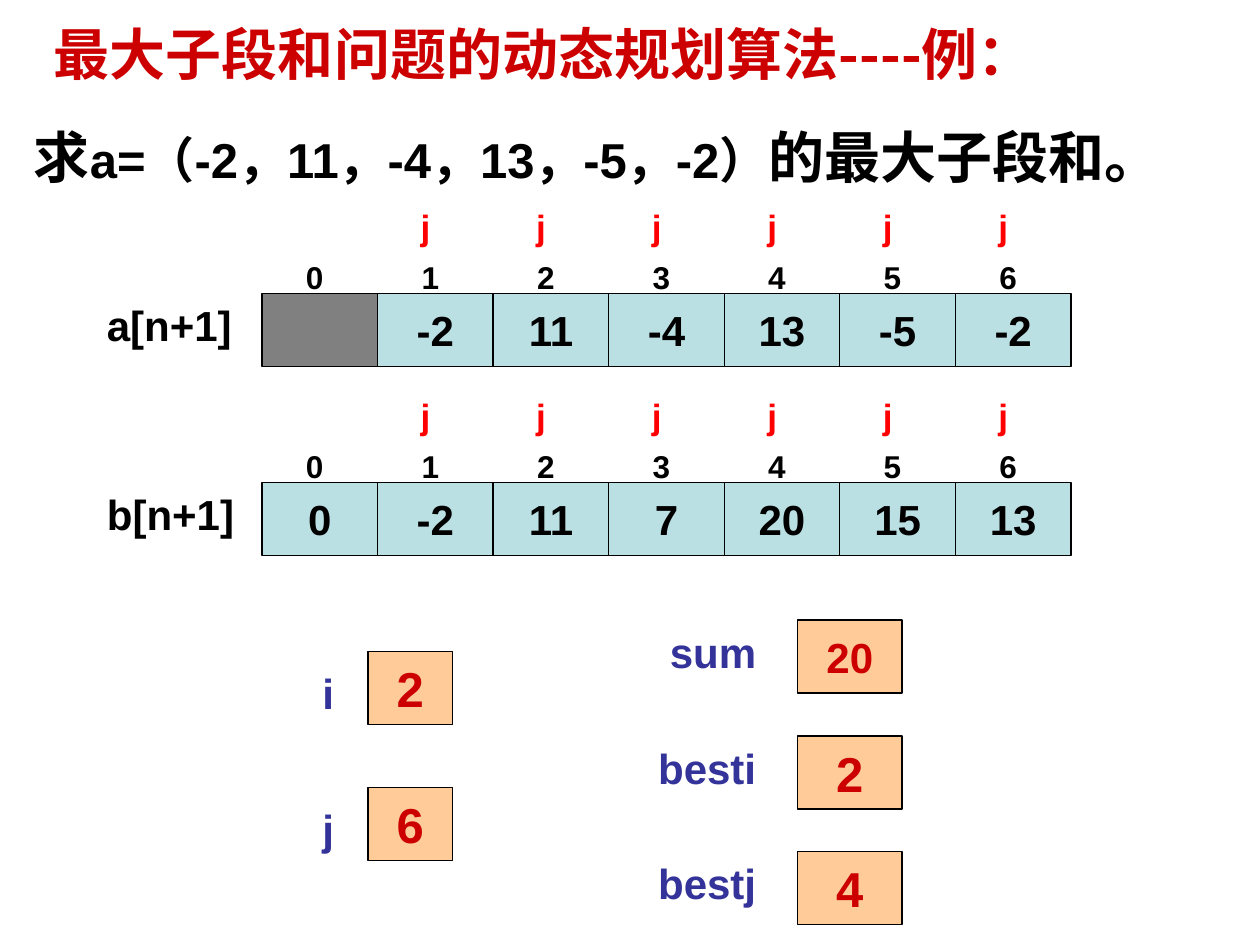
from pptx import Presentation
from pptx.dml.color import RGBColor
from pptx.enum.shapes import MSO_SHAPE
from pptx.enum.text import MSO_ANCHOR, PP_ALIGN
from pptx.util import Inches, Pt

RECT = MSO_SHAPE.RECTANGLE
TOP, MIDDLE = MSO_ANCHOR.TOP, MSO_ANCHOR.MIDDLE
LEFT, CENTER, RIGHT = PP_ALIGN.LEFT, PP_ALIGN.CENTER, PP_ALIGN.RIGHT
LATIN, CJK = "Arial", "Noto Sans CJK SC"
COLORS = {
    "ink": "000000",
    "title": "CC0000",
    "pointer": "FF0000",
    "label": "333399",
    "cell": "BBE0E3",
    "unused": "808080",
    "variable": "FFCC99",
}
CELL_H = Inches(0.58)


def style_para(para, size, color, align=LEFT, font=LATIN):
    para.alignment = align
    para.font.name = font
    para.font.size = Pt(size)
    para.font.bold = True
    para.font.color.rgb = RGBColor.from_string(COLORS[color])


def add_text(page, box, spans, size, color, align=LEFT, font=LATIN, anchor=TOP):
    """Place one paragraph; spans are (text, size), with None for the paragraph's size."""
    frame = page.shapes.add_textbox(*box).text_frame
    frame.word_wrap = True
    frame.vertical_anchor = anchor
    para = frame.paragraphs[0]
    style_para(para, size, color, align, font)
    for text, span_size in spans:
        span = para.add_run()
        span.text = text
        if span_size:
            span.font.size = Pt(span_size)


def add_cell(page, box, text, fill, size=24, color="ink"):
    cell = page.shapes.add_shape(RECT, *box)
    cell.shadow.inherit = False
    cell.fill.solid()
    cell.fill.fore_color.rgb = RGBColor.from_string(COLORS[fill])
    cell.line.color.rgb = RGBColor.from_string(COLORS["ink"])
    cell.line.width = Pt(0.75)
    if text:
        frame = cell.text_frame
        frame.word_wrap = False
        frame.vertical_anchor = MIDDLE
        para = frame.paragraphs[0]
        para.text = text
        style_para(para, size, color, CENTER)


def add_heading(page, left, top):
    # Title, then the question under it
    add_text(page, (left + Inches(0.16), top, Inches(8.5), Inches(0.5)),
             [("最大子段和问题的动态规划算法----例：", None)],
             32, "title", font=CJK, anchor=MIDDLE)
    add_text(page, (left, top + Inches(0.75), Inches(9.58), Inches(1.17)),
             [("求", None), ("a=（-2，11，-4，13，-5，-2）", 28),
              ("的最大子段和。", None)], 32, "ink")


def add_array(page, left, top, width, name, values):
    """Draw an array with its name, indices and pointers; None marks an unused cell."""
    add_text(page, (left - Inches(1.33), top, Inches(1.42), Inches(0.5)),
             [(name, None)], 24, "ink")
    pitch = width / len(values)
    for index, value in enumerate(values):
        x = int(left + index * pitch)
        fill = "unused" if value is None else "cell"
        text = "" if value is None else str(value)
        add_cell(page, (x, top, int(pitch), CELL_H), text, fill)
        add_text(page, (x + Inches(0.25), top - Inches(0.33), Inches(0.5), Inches(0.4)),
                 [(str(index), None)], 18, "ink")
        if index:
            add_text(page, (x + Inches(0.17), top - Inches(0.75), Inches(0.42), Inches(0.44)),
                     [("j", None)], 20, "pointer", CENTER)


def add_variables(page, left, top, cell_width, gap, pitch, label_drop, variables):
    """Stack value cells, each with a right-aligned name ending at the gap."""
    label_width = Inches(1.4)
    for row, (name, value, size) in enumerate(variables):
        y = int(top + row * pitch)
        add_text(page, (left - gap - label_width, y + label_drop, label_width, Inches(0.5)),
                 [(name, None)], 24, "label", RIGHT)
        add_cell(page, (left, y, cell_width, CELL_H), value, "variable", size, "title")


def main():
    deck = Presentation()
    deck.slide_width, deck.slide_height = Inches(10), Inches(7.5)
    page = deck.slides.add_slide(deck.slide_layouts[6])

    add_heading(page, Inches(0.17), Inches(0.17))

    # Input array and table of best sums
    array_left, array_width = Inches(2.08), Inches(6.42)
    add_array(page, array_left, Inches(2.33), array_width, "a[n+1]",
              [None, -2, 11, -4, 13, -5, -2])
    add_array(page, array_left, Inches(3.83), array_width, "b[n+1]",
              [0, -2, 11, 7, 20, 15, 13])

    # Loop counters and results
    add_variables(page, Inches(2.92), Inches(5.17), Inches(0.67), Inches(0.17),
                  Inches(1.08), Inches(0.08), [("i", "2", 28), ("j", "6", 28)])
    add_variables(page, Inches(6.33), Inches(4.92), Inches(0.83), Inches(0.23),
                  Inches(0.92), Inches(0),
                  [("sum", "20", 24), ("besti", "2", 28), ("bestj", "4", 28)])

    deck.save("out.pptx")


if __name__ == "__main__":
    main()
